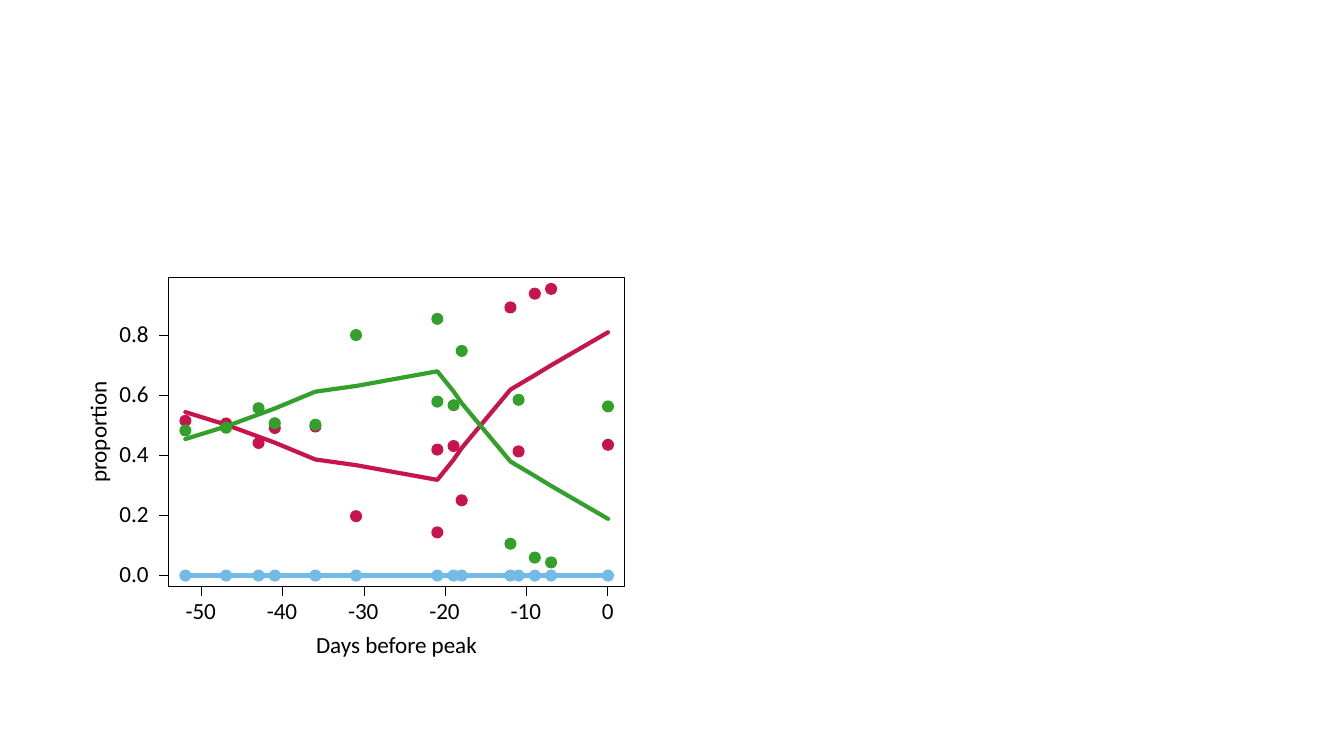
"""Build a slide with a scatter plot of proportions by days before peak."""
from lxml.etree import SubElement
from pptx import Presentation
from pptx.dml.color import RGBColor
from pptx.enum.shapes import MSO_CONNECTOR as CONN, MSO_SHAPE as SHAPE
from pptx.enum.text import MSO_ANCHOR as ANCHOR
from pptx.oxml.ns import qn
from pptx.util import Inches, Pt

BLACK = RGBColor(0x00, 0x00, 0x00)
BLUE = RGBColor(0x73, 0xBA, 0xE6)
RED = RGBColor(0xC7, 0x14, 0x4C)
GREEN = RGBColor(0x33, 0xA0, 0x2C)

X_TITLE, Y_TITLE = "Days before peak", "proportion"
X_TICKS = range(-50, 1, 10)
Y_TICKS = range(0, 81, 20)
DAYS = (-52, -47, -43, -41, -36, -31, -21, -21, -19, -18, -12, -11, -9, -7, 0)
RED_PERCENT = (51.6, 50.7, 44.2, 49.2, 49.7, 19.8, 42, 14.4,
               43.2, 25.1, 89.4, 41.4, 94, 95.6, 43.6)
RED_TREND = (54.5, 50.3, 46.3, 44.3, 38.7, 36.8, 31.9, 31.9,
             38.6, 42.5, 62, 63.6, 66.8, 70.1, 81.1)

LEFT, TOP, WIDTH, HEIGHT = 1.67, 2.75, 4.52, 3.07
BOTTOM = TOP + HEIGHT
X_ZERO, Y_ZERO = 6.03, 5.71
X_UNIT, Y_UNIT = 4.03 / 50, 2.38 / 80
TICK, DOT = 0.09, 0.12


def x_of(day):
    return X_ZERO + day * X_UNIT


def y_of(percent):
    return Y_ZERO - percent * Y_UNIT


def complement(percents):
    return [100 - v for v in percents]


def add_text(text, x, y, w, h, size=16.5, color=BLACK, font="Calibri", rotation=0):
    """Add one line of text in a box centred on x, y."""
    sp = plot.add_textbox(Inches(x - w / 2), Inches(y - h / 2), Inches(w), Inches(h))
    sp.rotation = rotation
    tf = sp.text_frame
    tf.word_wrap = False
    tf.vertical_anchor = ANCHOR.MIDDLE
    tf.margin_left = tf.margin_right = tf.margin_top = tf.margin_bottom = 0
    p = tf.paragraphs[0]
    p.line_spacing = Pt(size)
    r = p.add_run()
    r.text = text
    r.font.size, r.font.name = Pt(size), font
    r.font.color.rgb = color


def add_line(x1, y1, x2, y2):
    ln = plot.add_connector(CONN.STRAIGHT, *map(Inches, (x1, y1, x2, y2)))
    ln.line.color.rgb, ln.line.width = BLACK, Pt(0.75)
    SubElement(ln._element.spPr, qn("a:effectLst"))


def outline(sp, color, width):
    sp.fill.background()
    sp.line.color.rgb, sp.line.width = color, Pt(width)
    sp.shadow.inherit = False


def add_points(points, color):
    for day, percent in points:
        sp = plot.add_shape(SHAPE.OVAL, Inches(x_of(day) - DOT / 2),
                            Inches(y_of(percent) - DOT / 2), Inches(DOT), Inches(DOT))
        sp.fill.solid()
        sp.fill.fore_color.rgb = color
        sp.line.fill.background()
        sp.shadow.inherit = False


def add_trend(points, color):
    pts = [(Inches(x_of(day)), Inches(y_of(percent))) for day, percent in points]
    builder = plot.build_freeform(*pts[0])
    builder.add_line_segments(pts[1:], close=False)
    sp = builder.convert_to_shape()
    outline(sp, color, 3)
    ln = sp.line._get_or_add_ln()
    ln.set("cap", "rnd")
    SubElement(ln, qn("a:round"))


def add_axes():
    for day in X_TICKS:
        x = x_of(day)
        add_line(x, BOTTOM, x, BOTTOM + TICK)
        add_text(str(day), x, 6.08, 0.32 if day else 0.12, 0.15)
    for percent in Y_TICKS:
        y = y_of(percent)
        add_line(LEFT, y, LEFT - TICK, y)
        add_text(f"{percent / 100:.1f}", 1.34, y, 0.31, 0.15)
    frame = plot.add_shape(SHAPE.RECTANGLE, *map(Inches, (LEFT, TOP, WIDTH, HEIGHT)))
    outline(frame, BLACK, 0.75)
    add_text(X_TITLE, 3.96, 6.41, 1.65, 0.21)
    add_text(Y_TITLE, 0.99, 4.26, 1.06, 0.18, rotation=270)


prs = Presentation()
prs.slide_width, prs.slide_height = Inches(13.33), Inches(7.5)
s = prs.slides.add_slide(prs.slide_layouts[6])
plot = s.shapes.add_group_shape().shapes

zeros = [(day, 0) for day in sorted(set(DAYS))]
add_points(zeros, BLUE)
add_axes()
add_trend(zeros, BLUE)
for percents, trend, color in (
    (RED_PERCENT, RED_TREND, RED),
    (complement(RED_PERCENT), complement(RED_TREND), GREEN),
):
    add_points(zip(DAYS, percents), color)
    add_trend(zip(DAYS, trend), color)

prs.save("out.pptx")
